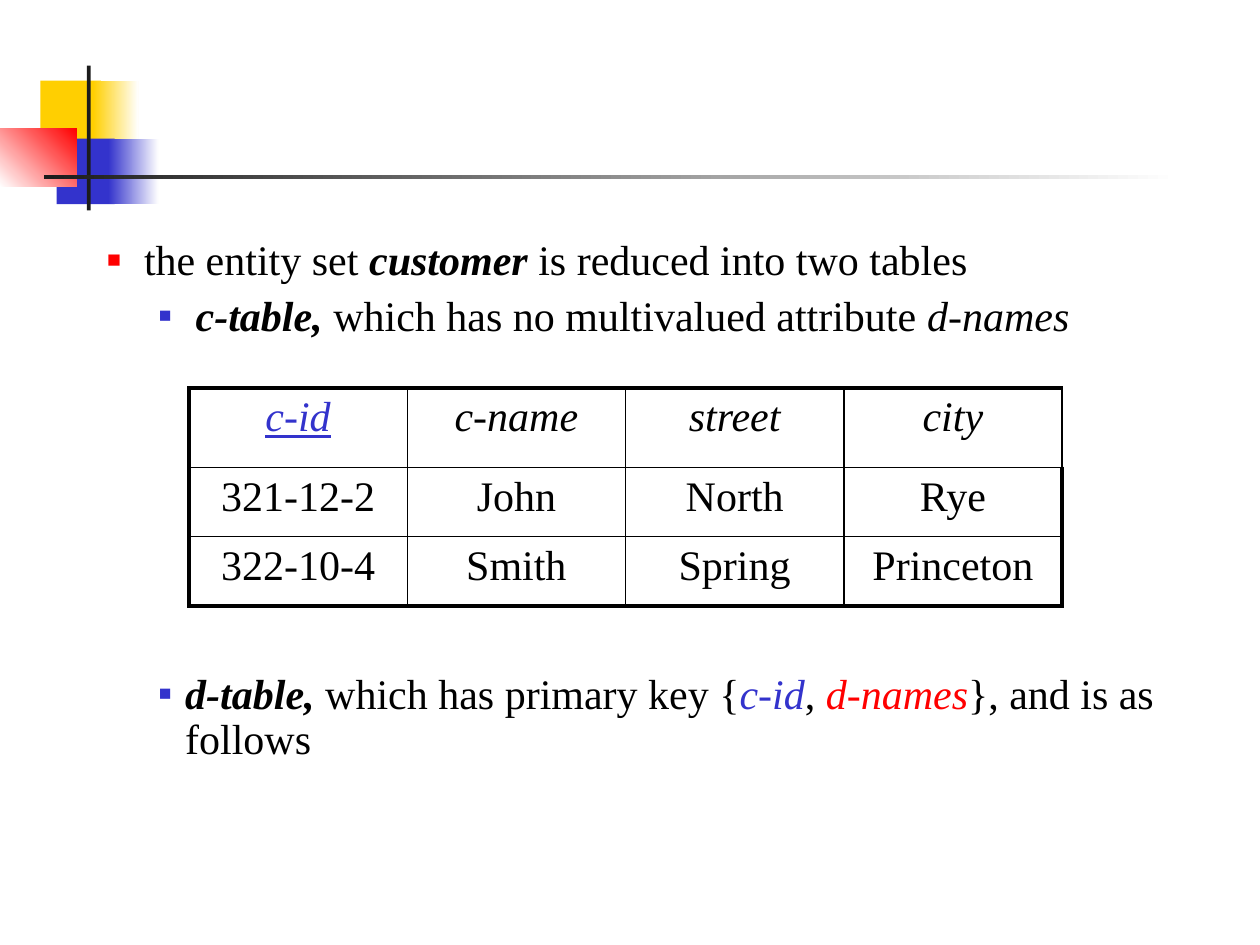
from dataclasses import dataclass

from lxml.etree import SubElement
from pptx import Presentation
from pptx.dml.color import RGBColor
from pptx.enum.shapes import MSO_SHAPE as Shape
from pptx.enum.text import MSO_AUTO_SIZE as AutoSize, PP_ALIGN as Align
from pptx.oxml.ns import qn
from pptx.util import Inches, Pt


@dataclass(frozen=True)
class Theme:
    font: str = "Times New Roman"
    size: int = 24
    black: str = "000000"
    blue: str = "3333CC"
    red: str = "FF0000"
    yellow: str = "FFCF01"
    white: str = "FFFFFF"
    dark: str = "1C1C1C"
    thin: float = 1
    thick: float = 2.25


THEME = Theme()
BULLET_STYLES = {  # level: indent, colour and size in percent
    1: (0.63, THEME.red, 55),
    2: (1.04, THEME.blue, 50),
}
HANGING = 0.21
LINE_SPACING = 0.9
PARAGRAPH_GAP = 6
TABLE_GAP = 190  # leaves room for the table between the two sub-points

CUSTOMERS = [
    ("c-id", "c-name", "street", "city"),
    ("321-12-2", "John", "North", "Rye"),
    ("322-10-4", "Smith", "Spring", "Princeton"),
]


def add_text(paragraph, text, color=THEME.black, bold=False, italic=False, underline=False):
    run = paragraph.add_run()
    run.text = text
    font = run.font
    font.name, font.size = THEME.font, Pt(THEME.size)
    font.color.rgb = RGBColor.from_string(color)
    font.bold, font.italic, font.underline = bold, italic, underline


def add_block(slide, left, top, width, height, start, end=None, angle=0):
    """A plain block, or one that fades from start to end."""
    block = slide.shapes.add_shape(
        Shape.RECTANGLE, Inches(left), Inches(top), Inches(width), Inches(height))
    block.shadow.inherit = False
    block.line.fill.background()
    if end is None:
        block.fill.solid()
        block.fill.fore_color.rgb = RGBColor.from_string(start)
        return
    block.fill.gradient()
    block.fill.gradient_angle = angle
    for stop, color, position in zip(block.fill.gradient_stops, (start, end), (0, 1)):
        stop.color.rgb = RGBColor.from_string(color)
        stop.position = position


def add_ornament(slide):
    add_block(slide, 0.32, 0.64, 0.48, 0.52, THEME.yellow)
    add_block(slide, 0.74, 0.64, 0.36, 0.52, THEME.yellow, THEME.white)
    add_block(slide, 0.45, 1.1, 0.46, 0.52, THEME.blue)
    add_block(slide, 0.86, 1.1, 0.4, 0.52, THEME.blue, THEME.white)
    add_block(slide, 0, 1.02, 0.61, 0.46, THEME.white, THEME.red, angle=45)
    # Crossing rules
    add_block(slide, 0.69, 0.52, 0.03, 1.15, THEME.dark)
    add_block(slide, 0.35, 1.39, 9, 0.03, THEME.dark, THEME.white)


def format_bullet(paragraph, level, gap=PARAGRAPH_GAP):
    indent, color, percent = BULLET_STYLES[level]
    paragraph.level = level
    paragraph.line_spacing = LINE_SPACING
    paragraph.space_before = Pt(gap)
    props = paragraph._p.get_or_add_pPr()
    props.set("marL", str(Inches(indent)))
    props.set("indent", str(-Inches(HANGING)))
    bullet_color = SubElement(props, qn("a:buClr"))
    SubElement(bullet_color, qn("a:srgbClr"), val=color)
    SubElement(props, qn("a:buSzPct"), val=str(percent * 1000))
    SubElement(props, qn("a:buFont"), typeface=THEME.font)
    SubElement(props, qn("a:buChar"), char="■")


def fill_body(body):
    body.left, body.top = Inches(0.33), Inches(1.85)
    body.width, body.height = Inches(9.25), Inches(4.49)
    frame = body.text_frame
    frame.word_wrap = True
    frame.auto_size = AutoSize.NONE

    entity_set = frame.paragraphs[0]
    format_bullet(entity_set, 1)
    add_text(entity_set, " the entity set ")
    add_text(entity_set, "customer", bold=True, italic=True)
    add_text(entity_set, " is reduced into two tables")

    c_table = frame.add_paragraph()
    format_bullet(c_table, 2)
    add_text(c_table, " c-table, ", bold=True, italic=True)
    add_text(c_table, "which has no multivalued attribute ")
    add_text(c_table, "d-names", italic=True)

    d_table = frame.add_paragraph()
    format_bullet(d_table, 2, gap=TABLE_GAP)
    add_text(d_table, "d-table, ", bold=True, italic=True)
    add_text(d_table, "which has primary key {")
    add_text(d_table, "c-id", color=THEME.blue, italic=True)
    add_text(d_table, ", ")
    add_text(d_table, "d-names", color=THEME.red, italic=True)
    add_text(d_table, "}, and is as follows")


def set_borders(cell, thick_sides):
    props = cell._tc.get_or_add_tcPr()
    for position, side in enumerate("LRTB"):
        width = THEME.thick if side in thick_sides else THEME.thin
        border = SubElement(props, qn(f"a:ln{side}"), w=str(Pt(width)))
        props.remove(border)
        props.insert(position, border)  # borders come before the cell's fill
        fill = SubElement(border, qn("a:solidFill"))
        SubElement(fill, qn("a:srgbClr"), val=THEME.black)


def add_customer_table(slide):
    last_row, last_column = len(CUSTOMERS) - 1, len(CUSTOMERS[0]) - 1
    table = slide.shapes.add_table(
        last_row + 1, last_column + 1,
        Inches(1.5), Inches(3.08), Inches(6.93), Inches(1.72)).table
    table.first_row = table.horz_banding = False
    for row, height in zip(table.rows, (0.63, 0.55, 0.55)):
        row.height = Inches(height)

    for r, customer in enumerate(CUSTOMERS):
        for c, value in enumerate(customer):
            cell = table.cell(r, c)
            cell.fill.background()
            entry = cell.text_frame.paragraphs[0]
            entry.alignment = Align.CENTER
            entry.space_before = Pt(0.2 * THEME.size)
            is_header = r == 0
            is_key = is_header and c == 0
            add_text(entry, value, color=THEME.blue if is_key else THEME.black,
                     italic=is_header, underline=is_key)
            # Heavy outer frame, except at the right of the header
            outer = {"L": c == 0, "T": is_header, "B": r == last_row,
                     "R": c == last_column and not is_header}
            set_borders(cell, [side for side, heavy in outer.items() if heavy])


def main():
    deck = Presentation()
    deck.slide_width, deck.slide_height = Inches(10), Inches(7.5)
    slide = deck.slides.add_slide(deck.slide_layouts[1])
    title, body = slide.placeholders
    title.element.getparent().remove(title.element)  # this slide has no title

    add_ornament(slide)
    fill_body(body)
    add_customer_table(slide)
    deck.save("out.pptx")


if __name__ == "__main__":
    main()
